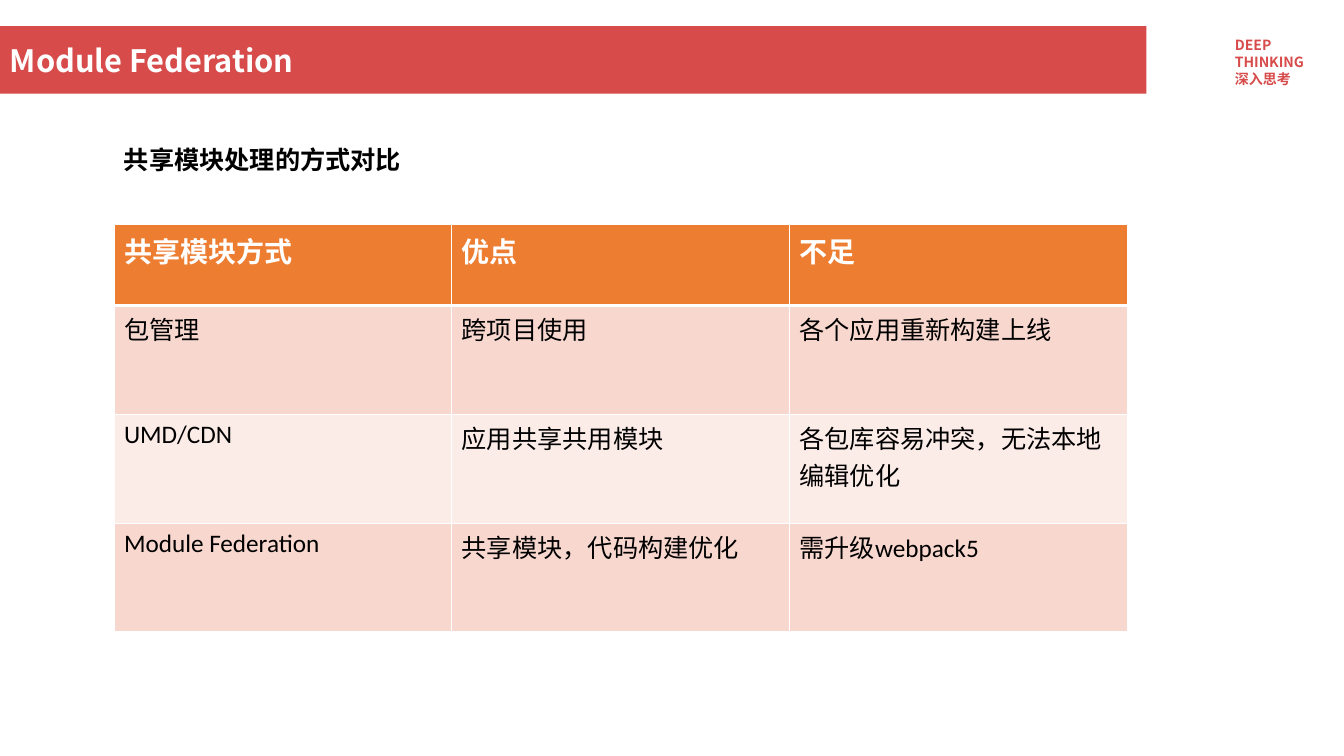
import dataclasses

import lxml.etree
import pptx
import pptx.dml.color
import pptx.enum.shapes
import pptx.enum.text
import pptx.oxml.ns
import pptx.util

PX = 9144


@dataclasses.dataclass(frozen=True)
class Theme:
    """Colours, fonts and type sizes of the slide."""
    red: str = "D74B4B"
    orange: str = "ED7D31"
    bands: tuple = ("F8D7CE", "FCECE8")
    white: str = "FFFFFF"
    black: str = "000000"
    display: str = "Noto Sans CJK SC"
    body: str = "Calibri"
    title_size: int = 22
    header_size: int = 20
    body_size: int = 18
    motto_size: int = 10


THEME = Theme()
COMPARISON = [
    ("共享模块方式", "优点", "不足"),
    ("包管理", "跨项目使用", "各个应用重新构建上线"),
    ("UMD/CDN", "应用共享共用模块", "各包库容易冲突，无法本地编辑优化"),
    ("Module Federation", "共享模块，代码构建优化", "需升级webpack5"),
]


def emu(box):
    """Turn whole px lengths into EMU."""
    return [length * PX for length in box]


def rgb(colour):
    """Return the colour object of a hex string."""
    return pptx.dml.color.RGBColor.from_string(colour)


def write(frame, lines, font, size, colour, bold=True, leading=None):
    """Fill a text frame with one styled paragraph per line."""
    frame.text = "\n".join(lines)
    for paragraph in frame.paragraphs:
        paragraph.alignment = pptx.enum.text.PP_ALIGN.LEFT
        paragraph.font.name = font
        paragraph.font.size = pptx.util.Pt(size)
        paragraph.font.bold = bold
        paragraph.font.color.rgb = rgb(colour)
        if leading:
            paragraph.line_spacing = pptx.util.Pt(leading)


def add_panel(slide, box, fill):
    """Add a plain filled rectangle and return it."""
    panel = slide.shapes.add_shape(
        pptx.enum.shapes.MSO_SHAPE.RECTANGLE, *emu(box))
    panel.shadow.inherit = False
    panel.fill.solid()
    panel.fill.fore_color.rgb = rgb(fill)
    panel.line.fill.background()
    return panel


def add_title_bar(slide, box):
    """Add the red bar with the slide title."""
    frame = add_panel(slide, box, THEME.red).text_frame
    frame.vertical_anchor = pptx.enum.text.MSO_ANCHOR.MIDDLE
    write(frame, ["Module Federation"], THEME.display, THEME.title_size, THEME.white)


def add_motto(slide, box):
    """Add the three-line motto in the corner."""
    frame = add_panel(slide, box, THEME.white).text_frame
    frame.word_wrap = False
    frame.vertical_anchor = pptx.enum.text.MSO_ANCHOR.TOP
    write(frame, ["DEEP", "THINKING", "深入思考"], THEME.display,
          THEME.motto_size, THEME.red, leading=12.2)


def add_heading(slide, box):
    """Add the heading above the comparison."""
    frame = slide.shapes.add_textbox(*emu(box)).text_frame
    frame.word_wrap = False
    write(frame, ["共享模块处理的方式对比"], THEME.body, THEME.body_size, THEME.black)


def set_borders(cell, bottom, top):
    """Draw white borders round a cell, with top and bottom widths in points."""
    properties = cell._tc.get_or_add_tcPr()
    widths = {"a:lnL": 1, "a:lnR": 1, "a:lnT": top, "a:lnB": bottom}
    for index, (side, width) in enumerate(widths.items()):
        border = lxml.etree.Element(
            pptx.oxml.ns.qn(side), w=str(pptx.util.Pt(width)))
        fill = lxml.etree.SubElement(border, pptx.oxml.ns.qn("a:solidFill"))
        lxml.etree.SubElement(fill, pptx.oxml.ns.qn("a:srgbClr"), val=THEME.white)
        properties.insert(index, border)


def add_comparison(slide, box, header_height):
    """Add the table of sharing methods with its banded rows."""
    row_count, column_count = len(COMPARISON), len(COMPARISON[0])
    table = slide.shapes.add_table(row_count, column_count, *emu(box)).table
    body_height = (box[3] - header_height) // (row_count - 1)
    for row, values in enumerate(COMPARISON):
        header = row == 0
        table.rows[row].height = (header_height if header else body_height) * PX
        for column, value in enumerate(values):
            cell = table.cell(row, column)
            cell.fill.solid()
            cell.fill.fore_color.rgb = rgb(
                THEME.orange if header else THEME.bands[(row - 1) % 2])
            set_borders(cell, bottom=3 if header else 1, top=3 if row == 1 else 1)
            write(cell.text_frame, [value], THEME.body,
                  THEME.header_size if header else THEME.body_size,
                  THEME.white if header else THEME.black, bold=header)


def build_comparison_slide(deck):
    """Build the slide comparing ways to share modules."""
    slide = deck.slides.add_slide(deck.slide_layouts[6])
    add_title_bar(slide, (0, 26, 1137, 67))
    add_motto(slide, (1215, 31, 94, 61))
    add_comparison(slide, (113, 223, 1005, 404), header_height=80)
    add_heading(slide, (113, 138, 306, 40))


def main():
    """Create and save the deck."""
    deck = pptx.Presentation()
    deck.slide_width, deck.slide_height = emu((1333, 750))
    build_comparison_slide(deck)
    deck.save("out.pptx")


if __name__ == "__main__":
    main()
